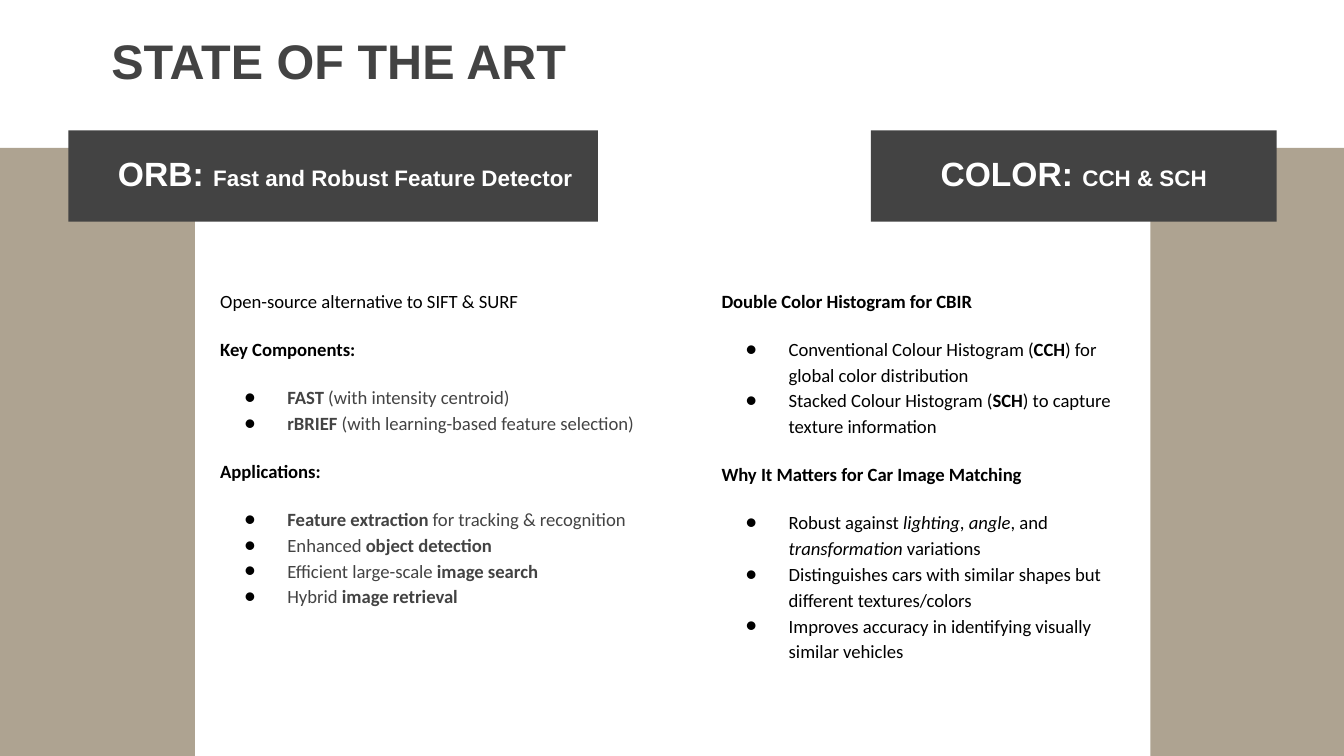
from itertools import groupby

from lxml import etree
from pptx import Presentation
from pptx.dml.color import RGBColor
from pptx.enum import shapes, text
from pptx.oxml import ns
from pptx.util import Inches, Pt

# Content: *bold*, _italic_, and "- " opens a bullet
TITLE = "STATE OF THE ART"
ORB_LINES = [
    "Open-source alternative to SIFT & SURF",
    "*Key Components:*",
    "- *FAST* (with intensity centroid)",
    "- *rBRIEF* (with learning-based feature selection)",
    "*Applications:*",
    "- *Feature extraction* for tracking & recognition",
    "- Enhanced *object detection*",
    "- Efficient large-scale *image search*",
    "- Hybrid *image retrieval*",
]
COLOR_LINES = [
    "*Double Color Histogram for CBIR*",
    "- Conventional Colour Histogram (*CCH*) for global color distribution",
    "- Stacked Colour Histogram (*SCH*) to capture texture information",
    "*Why It Matters for Car Image Matching*",
    "- Robust against _lighting_, _angle_, and _transformation_ variations",
    "- Distinguishes cars with similar shapes but different textures/colors",
    "- Improves accuracy in identifying visually similar vehicles",
]

BLACK = RGBColor(0x00, 0x00, 0x00)
WHITE = RGBColor(0xFF, 0xFF, 0xFF)
CHARCOAL = RGBColor(0x43, 0x43, 0x43)
TAUPE = RGBColor(0x90, 0x82, 0x69)

# Layout in inches, on a 16:9 page
WIDTH = 10
HEIGHT = WIDTH * 9 / 16
PANEL_TOP, PANEL_WIDTH = 1.1, 1.45
BANNER_TOP, BANNER_HEIGHT = 0.97, 0.68
BODY_TOP, BODY_WIDTH = 2.03, 3.29
LABEL_HEIGHT = 0.44
BODY_FONT, BODY_SIZE = "Calibri", 10

# Per topic: panel left, banner (left, width), label (left, width), body (left, height)
TOPICS = [
    dict(panel=8.56, banner=(6.48, 3.02), label=(6.9, 2.52),
         heading=("COLOR: ", "CCH & SCH"), body=(5.27, 3.96),
         lines=COLOR_LINES, bullet_color=BLACK),
    dict(panel=0, banner=(0.51, 3.94), label=(0.78, 3.94),
         heading=("ORB: ", "Fast and Robust Feature Detector"), body=(1.54, 3.33),
         lines=ORB_LINES, bullet_color=CHARCOAL),
]


def add_block(page, left, top, width, height, color, opacity=100):
    block = page.shapes.add_shape(shapes.MSO_SHAPE.RECTANGLE,
                                  *map(Inches, (left, top, width, height)))
    block.shadow.inherit = False
    block.fill.solid()
    block.fill.fore_color.rgb = color
    block.line.fill.background()
    if opacity < 100:
        tint = block.element.spPr.find(".//" + ns.qn("a:srgbClr"))
        etree.SubElement(tint, ns.qn("a:alpha"), val=str(opacity * 1000))


def add_frame(page, left, top, width, height, anchor):
    box = page.shapes.add_textbox(*map(Inches, (left, top, width, height)))
    frame = box.text_frame
    settings = dict(word_wrap=True, vertical_anchor=anchor)
    for side in ("left", "top", "right", "bottom"):
        settings["margin_" + side] = Inches(0.1)
    for name, value in settings.items():
        setattr(frame, name, value)
    return frame


def add_span(para, words, color, **font):
    span = para.add_run()
    span.text = words
    span.font.color.rgb = color
    for name, value in font.items():
        setattr(span.font, name, value)


def add_marked_spans(para, line, color):
    styles = {"*": False, "_": False}
    for is_mark, letters in groupby(line, key=lambda letter: letter in styles):
        words = "".join(letters)
        if is_mark:
            styles[words] = not styles[words]
        else:
            add_span(para, words, color, name=BODY_FONT, size=Pt(BODY_SIZE),
                     bold=styles["*"], italic=styles["_"])


def add_bullet(para):
    properties = para._p.get_or_add_pPr()
    properties.set("marL", str(Inches(0.5)))
    properties.set("indent", str(Inches(-0.32)))
    tint = etree.SubElement(properties, ns.qn("a:buClr"))
    etree.SubElement(tint, ns.qn("a:srgbClr"), val=str(BLACK))
    etree.SubElement(properties, ns.qn("a:buSzPts"), val=str(BODY_SIZE * 100))
    etree.SubElement(properties, ns.qn("a:buFont"), typeface=BODY_FONT)
    etree.SubElement(properties, ns.qn("a:buChar"), char="●")


def fill_body(frame, lines, bullet_color):
    after_bullet = False
    for index, line in enumerate(lines):
        para = frame.add_paragraph() if index else frame.paragraphs[0]
        is_bullet = line.startswith("- ")
        if is_bullet:
            add_bullet(para)
        para.line_spacing = 1.15
        para.space_before = Pt(12 if index and not (is_bullet and after_bullet) else 0)
        add_marked_spans(para, line.removeprefix("- "), bullet_color if is_bullet else BLACK)
        after_bullet = is_bullet


def main():
    deck = Presentation()
    deck.slide_width, deck.slide_height = Inches(WIDTH), Inches(HEIGHT)
    page = deck.slides.add_slide(deck.slide_layouts[6])

    # Side panels and heading banners
    for topic in TOPICS:
        add_block(page, topic["panel"], PANEL_TOP, PANEL_WIDTH, HEIGHT - PANEL_TOP, TAUPE, 73)
        left, width = topic["banner"]
        add_block(page, left, BANNER_TOP, width, BANNER_HEIGHT, CHARCOAL)

    # Title
    frame = add_frame(page, 0.73, 0.18, 4.39, 0.53, text.MSO_ANCHOR.MIDDLE)
    add_span(frame.paragraphs[0], TITLE, CHARCOAL, name="Arial", size=Pt(26), bold=True)

    # Headings and body columns
    for topic in TOPICS:
        left, width = topic["label"]
        frame = add_frame(page, left, PANEL_TOP, width, LABEL_HEIGHT, text.MSO_ANCHOR.BOTTOM)
        for words, size in zip(topic["heading"], (18, 12)):
            add_span(frame.paragraphs[0], words, WHITE, name="Arial", size=Pt(size), bold=True)
        left, height = topic["body"]
        frame = add_frame(page, left, BODY_TOP, BODY_WIDTH, height, text.MSO_ANCHOR.TOP)
        fill_body(frame, topic["lines"], topic["bullet_color"])

    deck.save("out.pptx")


if __name__ == "__main__":
    main()
